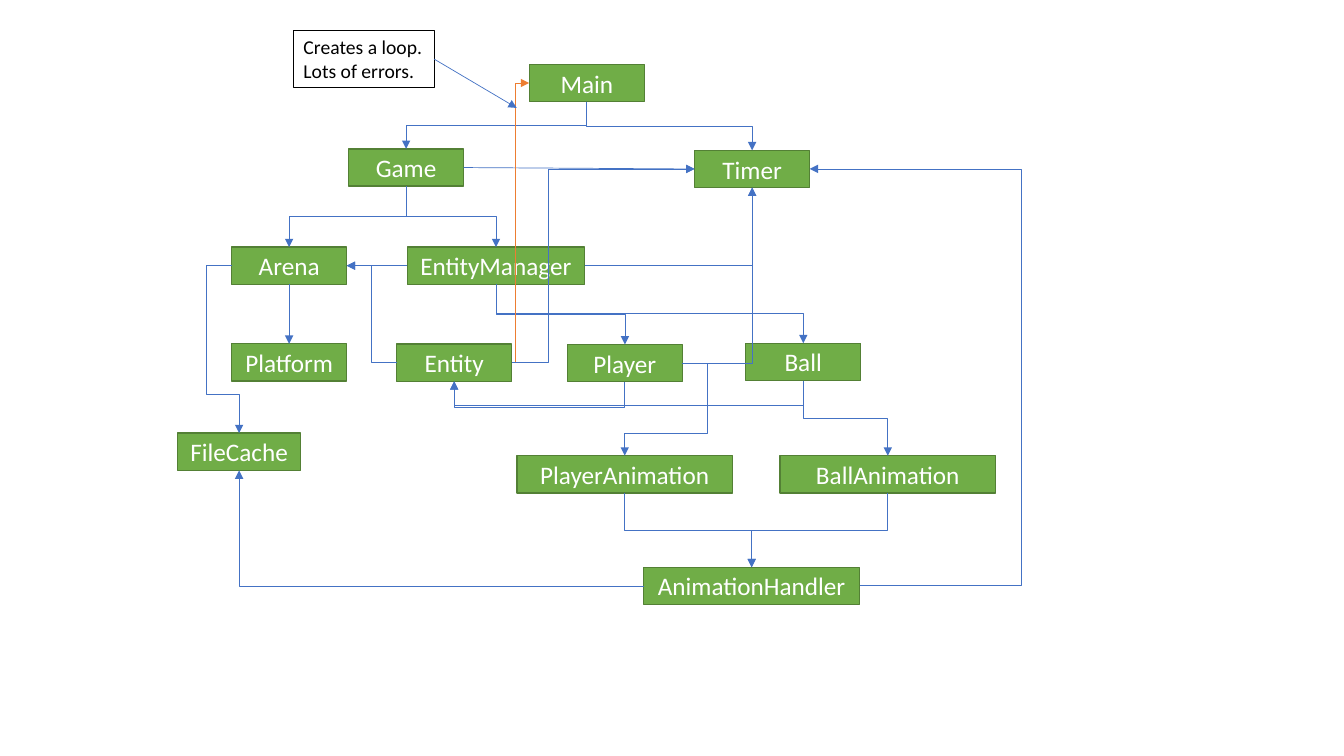
from lxml.etree import SubElement
from pptx import Presentation
from pptx.dml.color import RGBColor
from pptx.enum.shapes import MSO_CONNECTOR, MSO_SHAPE
from pptx.enum.text import MSO_ANCHOR, MSO_AUTO_SIZE, PP_ALIGN
from pptx.oxml.ns import qn
from pptx.util import Pt

GREEN = RGBColor(0x70, 0xAD, 0x47)
DARK_GREEN = RGBColor(0x53, 0x80, 0x35)
BLUE = RGBColor(0x44, 0x72, 0xC4)
ORANGE = RGBColor(0xED, 0x7D, 0x31)
BLACK = RGBColor(0, 0, 0)
WHITE = RGBColor(0xFF, 0xFF, 0xFF)
FONT = "Calibri"

TOP, LEFT, BOTTOM, RIGHT = range(4)
MODULE_HEIGHT = 26.6
NARROW, WIDE = 82.3, 154.1

# Module: left, top, width inside the diagram, in points
MODULES = {
    "Main": (252, 0, NARROW),
    "Game": (122.9, 60.4, NARROW),
    "Timer": (370.1, 61.4, NARROW),
    "Arena": (39.4, 130.5, NARROW),
    "EntityManager": (164.9, 130.5, 126.7),
    "Platform": (39.4, 199.6, NARROW),
    "Entity": (157.3, 199.8, NARROW),
    "Player": (279.2, 200.1, NARROW),
    "Ball": (406.6, 199.2, NARROW),
    "FileCache": (0.9, 263.4, 87.8),
    "PlayerAnimation": (243.2, 279.5, WIDE),
    "BallAnimation": (431.1, 279.5, WIDE),
    "AnimationHandler": (333.9, 359.2, WIDE),
}

STRAIGHT_LINKS = [
    ("Game", RIGHT, "Timer", LEFT),
    ("EntityManager", LEFT, "Arena", RIGHT),
    ("Arena", BOTTOM, "Platform", TOP),
]

# User, side, used module, side, then where the link turns (default: halfway)
BENT_LINKS = [
    ("AnimationHandler", LEFT, "FileCache", BOTTOM),
    ("AnimationHandler", RIGHT, "Timer", RIGHT, 603.8),
    ("EntityManager", RIGHT, "Timer", BOTTOM),
    ("Main", BOTTOM, "Game", TOP),
    ("Main", BOTTOM, "Timer", TOP),
    ("Game", BOTTOM, "Arena", TOP),
    ("Game", BOTTOM, "EntityManager", TOP),
    ("EntityManager", BOTTOM, "Player", TOP),
    ("EntityManager", BOTTOM, "Ball", TOP),
    ("Player", RIGHT, "Timer", BOTTOM),
    ("Arena", LEFT, "FileCache", TOP, 21.3, 236),
    ("PlayerAnimation", BOTTOM, "AnimationHandler", TOP),
    ("BallAnimation", BOTTOM, "AnimationHandler", TOP),
    ("Ball", BOTTOM, "BallAnimation", TOP),
    ("Entity", RIGHT, "Main", LEFT, 242),
    ("Entity", RIGHT, "Timer", LEFT, 265.7),
    ("Player", BOTTOM, "Entity", BOTTOM, 244.3),
    ("Ball", BOTTOM, "Entity", BOTTOM, 243.6),
    ("Player", RIGHT, "PlayerAnimation", TOP, 379.4, 263.6),
    ("Entity", LEFT, "Arena", RIGHT),
]
LOOP_LINK = ("Entity", "Main")


def style_text(frame, size, color, align):
    for paragraph in frame.paragraphs:
        paragraph.alignment = align
        for run in paragraph.runs:
            run.font.name = FONT
            run.font.size = Pt(size)
            run.font.color.rgb = color


def style_arrow(arrow, color=BLUE):
    arrow.line.color.rgb = color
    arrow.line.width = Pt(0.5)
    properties = arrow.element.spPr
    SubElement(properties.find(qn("a:ln")), qn("a:tailEnd"), type="triangle")
    SubElement(properties, qn("a:effectLst"))


def side_middle(module, side):
    x = module.left + {LEFT: 0, RIGHT: module.width}.get(side, module.width // 2)
    y = module.top + {TOP: 0, BOTTOM: module.height}.get(side, module.height // 2)
    return x, y


def join(slide, kind, user, user_side, used, used_side):
    ends = side_middle(user, user_side) + side_middle(used, used_side)
    arrow = slide.shapes.add_connector(kind, *ends)
    arrow.begin_connect(user, user_side)
    arrow.end_connect(used, used_side)
    return arrow


def bend(arrow, start, end, start_side, end_side, turns):
    """Shape an elbow that leaves start_side; turns alternate between the axes."""
    dx, dy = end[0] - start[0], end[1] - start[1]
    upright = start_side in (TOP, BOTTOM)
    if upright:
        rotation = 90 if dx <= 0 else 270
        flip_h, flip_v = (dy < 0) == (rotation == 90), False
        width, height = abs(dy), abs(dx)
    else:
        leftward = start_side == LEFT
        rotation = 180 if leftward else 0
        flip_h, flip_v = (dx < 0) != leftward, (dy < 0) != leftward
        width, height = abs(dx), abs(dy)

    arrow.left = (start[0] + end[0] - width) // 2
    arrow.top = (start[1] + end[1] - height) // 2
    arrow.width, arrow.height = width, height
    frame = arrow.element.spPr.find(qn("a:xfrm"))
    frame.set("rot", str(rotation * 60000))
    frame.set("flipH", str(int(flip_h)))
    frame.set("flipV", str(int(flip_v)))

    same_axis = start_side % 2 == end_side % 2
    segments = 3 if same_axis else 2 + len(turns)
    geometry = arrow.element.spPr.find(qn("a:prstGeom"))
    geometry.set("prst", f"bentConnector{segments}")
    for number, turn in enumerate(turns, 1):
        axis = (number - 1 + upright) % 2
        share = (turn - start[axis]) / (end[axis] - start[axis])
        SubElement(geometry.find(qn("a:avLst")), qn("a:gd"),
                   name=f"adj{number}", fmla=f"val {round(share * 100000)}")


def add_modules(slide, left, top):
    modules = {}
    for name, (x, y, width) in MODULES.items():
        module = slide.shapes.add_shape(
            MSO_SHAPE.RECTANGLE, left + Pt(x), top + Pt(y), Pt(width), Pt(MODULE_HEIGHT))
        module.shadow.inherit = False
        module.fill.solid()
        module.fill.fore_color.rgb = GREEN
        module.line.color.rgb = DARK_GREEN
        module.line.width = Pt(1)
        module.text_frame.text = name
        module.text_frame.vertical_anchor = MSO_ANCHOR.MIDDLE
        style_text(module.text_frame, 18, WHITE, PP_ALIGN.CENTER)
        modules[name] = module
    return modules


def add_links(slide, modules, left, top):
    for user, user_side, used, used_side in STRAIGHT_LINKS:
        style_arrow(join(slide, MSO_CONNECTOR.STRAIGHT,
                         modules[user], user_side, modules[used], used_side))

    for user, user_side, used, used_side, *turns in BENT_LINKS:
        arrow = join(slide, MSO_CONNECTOR.ELBOW,
                     modules[user], user_side, modules[used], used_side)
        origin = (left, top)
        upright = user_side in (TOP, BOTTOM)
        placed = [origin[(i + upright) % 2] + Pt(turn) for i, turn in enumerate(turns)]
        bend(arrow, side_middle(modules[user], user_side),
             side_middle(modules[used], used_side), user_side, used_side, placed)
        style_arrow(arrow, ORANGE if (user, used) == LOOP_LINK else BLUE)


def add_loop_note(slide, left, top, width, height):
    note = slide.shapes.add_textbox(left, top, width, height)
    note.line.color.rgb = BLACK
    note.line.width = Pt(0.75)
    note.text_frame.text = "Creates a loop.\nLots of errors."
    note.text_frame.word_wrap = False
    note.text_frame.auto_size = MSO_AUTO_SIZE.SHAPE_TO_FIT_TEXT
    style_text(note.text_frame, 14, BLACK, PP_ALIGN.LEFT)

    # Pointer to the looping link
    pointer = slide.shapes.add_connector(
        MSO_CONNECTOR.STRAIGHT, *side_middle(note, RIGHT),
        left + width + Pt(59), top + Pt(55.5))
    pointer.begin_connect(note, RIGHT)
    style_arrow(pointer)


def main():
    deck = Presentation()
    deck.slide_width, deck.slide_height = Pt(960), Pt(540)
    slide = deck.slides.add_slide(deck.slide_layouts[6])
    diagram_left, diagram_top = Pt(126), Pt(46)
    modules = add_modules(slide, diagram_left, diagram_top)
    add_links(slide, modules, diagram_left, diagram_top)
    add_loop_note(slide, Pt(209.7), Pt(21.6), Pt(100.4), Pt(41.2))
    deck.save("out.pptx")


if __name__ == "__main__":
    main()
